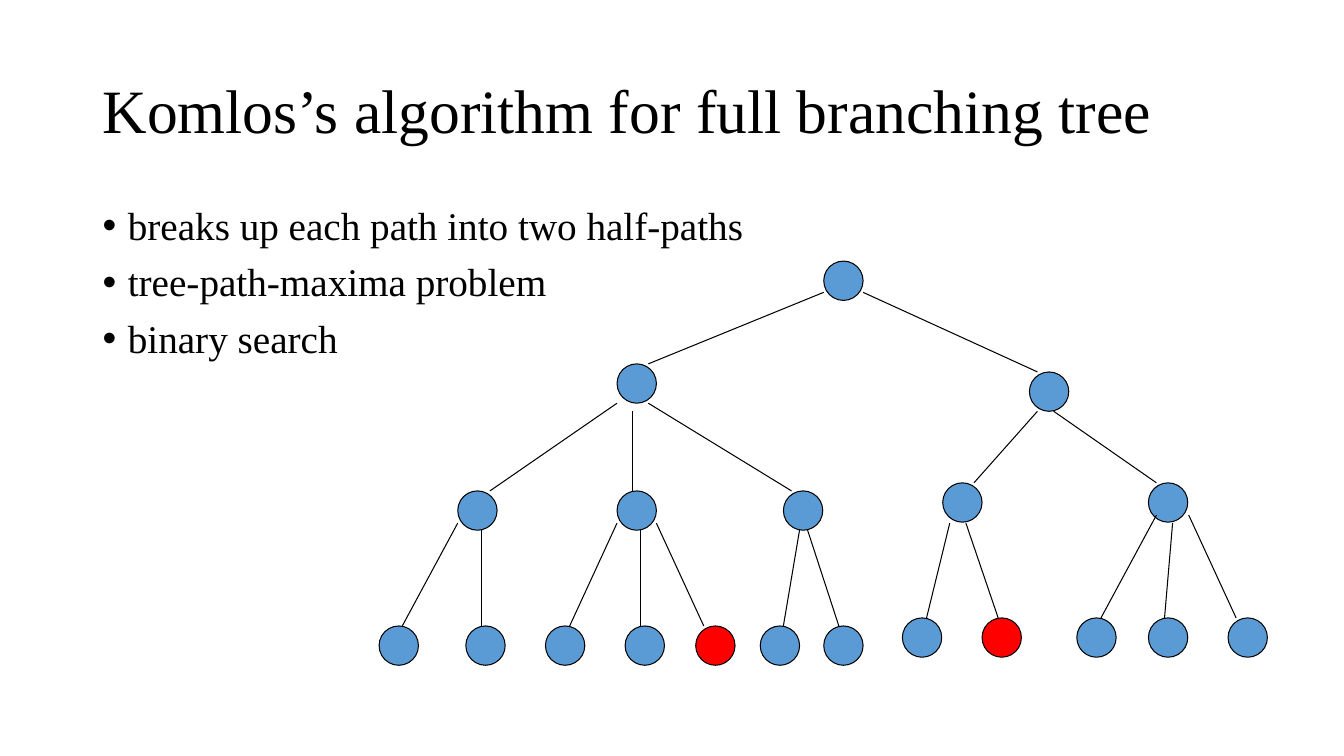
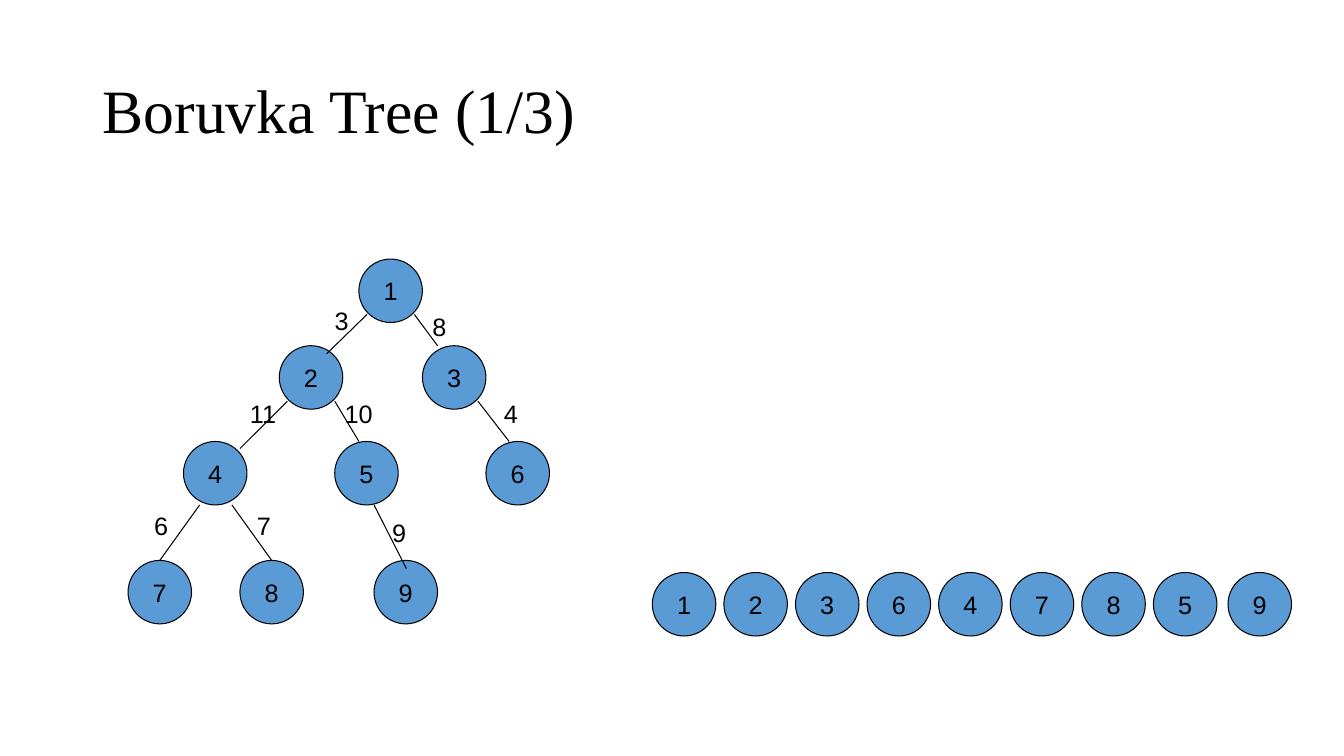
from lxml.etree import SubElement
from pptx import Presentation
from pptx.dml.color import RGBColor
from pptx.enum.shapes import MSO_CONNECTOR, MSO_SHAPE
from pptx.enum.text import MSO_ANCHOR, MSO_AUTO_SIZE, PP_ALIGN
from pptx.oxml.ns import qn
from pptx.util import Inches, Pt

BLACK = RGBColor(0x00, 0x00, 0x00)
BLUE = RGBColor(0x5B, 0x9B, 0xD5)
RED = RGBColor(0xFF, 0x00, 0x00)
SERIF = "Times New Roman"
SANS = "Arial"
LINE_WIDTH = Pt(0.75)
MARGIN_LEFT, CONTENT_WIDTH = 0.92, 11.5

# Slide 1: the branching tree, as rows of nodes (top, colour, left edges)
BRANCHING_TITLE = "Komlos’s algorithm for full branching tree"
BULLETS = [
    "breaks up each path into two half-paths",
    "tree-path-maxima problem",
    "binary search",
]
SMALL_NODE = 0.39
BRANCHING_ROWS = [
    (2.59, BLUE, [8.17]),
    (3.61, BLUE, [6.12]),
    (3.69, BLUE, [10.21]),
    (4.87, BLUE, [4.54, 6.12, 7.77]),
    (4.79, BLUE, [9.35, 11.39]),
    (6.21, BLUE, [3.76, 4.62, 5.41, 6.2, 7.54, 8.17]),
    (6.13, BLUE, [8.95, 10.68, 11.39, 12.18]),
    (6.21, RED, [6.9]),
    (6.13, RED, [9.74]),
]
BRANCHING_EDGES = [
    ((8.17, 2.9), (6.43, 3.61)),
    ((8.56, 2.9), (10.29, 3.69)),
    ((6.12, 4), (4.86, 4.87)),
    ((6.27, 4.08), (6.27, 4.87)),
    ((6.43, 4), (7.85, 4.87)),
    ((10.29, 4.08), (9.66, 4.79)),
    ((10.45, 4.08), (11.47, 4.79)),
    ((4.54, 5.19), (3.99, 6.21)),
    ((4.78, 5.26), (4.78, 6.21)),
    ((6.12, 5.19), (5.65, 6.21)),
    ((6.35, 5.26), (6.35, 6.21)),
    ((6.51, 5.19), (6.98, 6.21)),
    ((7.93, 5.26), (7.77, 6.21)),
    ((8.01, 5.26), (8.32, 6.21)),
    ((9.42, 5.19), (9.19, 6.13)),
    ((9.58, 5.19), (9.9, 6.13)),
    ((11.47, 5.11), (10.92, 6.13)),
    ((11.63, 5.19), (11.55, 6.13)),
    ((11.79, 5.11), (12.26, 6.13)),
]

# Slide 2: the numbered tree and its nodes in depth-first order
BORUVKA_TITLE = "Boruvka Tree (1/3)"
LARGE_NODE = 0.63
BORUVKA_ROWS = [
    (2.57, {"1": 3.56}),
    (3.43, {"2": 2.77, "3": 4.19}),
    (4.38, {"4": 1.82, "5": 3.32, "6": 4.82}),
    (5.56, {"7": 1.27, "8": 2.38, "9": 3.71}),
]
# start, end, child joined at its top (if any), weight, weight position
BORUVKA_EDGES = [
    ((3.64, 3.12), (3.24, 3.51), None, "3", (3.22, 2.98)),
    ((4.11, 3.12), (4.34, 3.43), None, "8", (4.19, 3.04)),
    ((2.85, 3.98), (2.38, 4.45), None, "11", (2.38, 3.9)),
    ((3.32, 3.98), (3.56, 4.38), None, "10", (3.32, 3.9)),
    ((4.74, 3.98), (5.05, 4.38), None, "4", (4.9, 3.9)),
    ((1.98, 5.01), (1.59, 5.56), "7", "6", (1.43, 5.01)),
    ((2.3, 5.01), (2.69, 5.56), "8", "7", (2.45, 5.01)),
    ((3.71, 5.01), (4.03, 5.64), None, "9", (3.79, 5.08)),
]
VISIT_ORDER = "12364785"
LAST_VISITED = "9"
VISIT_LEFT, VISIT_TOP, VISIT_STEP = 6.47, 5.68, 0.71
LAST_LEFT = 12.18


def add_span(para, text, font_name, size):
    span = para.add_run()
    span.text = text
    span.font.name = font_name
    span.font.size = Pt(size)
    span.font.color.rgb = BLACK


def add_text_box(page, left, top, width, height, wrap=True):
    box = page.shapes.add_textbox(
        Inches(left), Inches(top), Inches(width), Inches(height))
    box.text_frame.word_wrap = wrap
    return box


def add_page(deck, title):
    page = deck.slides.add_slide(deck.slide_layouts[6])
    frame = add_text_box(page, MARGIN_LEFT, 0.4, CONTENT_WIDTH, 1.45).text_frame
    frame.vertical_anchor = MSO_ANCHOR.MIDDLE
    para = frame.paragraphs[0]
    para.line_spacing = 0.9
    add_span(para, title, SERIF, 44)
    return page


def add_bullets(page, items):
    frame = add_text_box(page, MARGIN_LEFT, 2, CONTENT_WIDTH, 4.76).text_frame
    for index, item in enumerate(items):
        para = frame.add_paragraph() if index else frame.paragraphs[0]
        para.line_spacing = 0.9
        if index:
            para.space_before = Pt(10)
        properties = para._p.get_or_add_pPr()
        properties.set("marL", str(Inches(0.25)))
        properties.set("indent", str(Inches(-0.25)))
        SubElement(properties, qn("a:buFont"), typeface=SANS)
        SubElement(properties, qn("a:buChar"), char="•")
        add_span(para, item, SERIF, 28)


def add_node(page, left, top, size, fill=BLUE, label=None):
    node = page.shapes.add_shape(
        MSO_SHAPE.OVAL, Inches(left), Inches(top), Inches(size), Inches(size))
    node.shadow.inherit = False
    node.fill.solid()
    node.fill.fore_color.rgb = fill
    node.line.color.rgb = BLACK
    node.line.width = LINE_WIDTH
    if label:
        frame = node.text_frame
        frame.word_wrap = False
        frame.vertical_anchor = MSO_ANCHOR.MIDDLE
        para = frame.paragraphs[0]
        para.alignment = PP_ALIGN.CENTER
        add_span(para, label, SANS, 18)
    return node


def add_edge(page, start, end):
    points = [Inches(value) for value in (*start, *end)]
    edge = page.shapes.add_connector(MSO_CONNECTOR.STRAIGHT, *points)
    edge.line.color.rgb = BLACK
    edge.line.width = LINE_WIDTH
    SubElement(edge._element.spPr, qn("a:effectLst"))
    return edge


def add_weight(page, position, weight):
    width = 0.2 + 0.14 * len(weight)
    frame = add_text_box(page, *position, width, 0.4, wrap=False).text_frame
    frame.auto_size = MSO_AUTO_SIZE.SHAPE_TO_FIT_TEXT
    add_span(frame.paragraphs[0], weight, SANS, 18)


def build_branching_page(deck):
    page = add_page(deck, BRANCHING_TITLE)
    add_bullets(page, BULLETS)
    for top, fill, lefts in BRANCHING_ROWS:
        for left in lefts:
            add_node(page, left, top, SMALL_NODE, fill)
    for start, end in BRANCHING_EDGES:
        add_edge(page, start, end)


def build_boruvka_page(deck):
    page = add_page(deck, BORUVKA_TITLE)
    nodes = {}
    for top, row in BORUVKA_ROWS:
        for label, left in row.items():
            nodes[label] = add_node(page, left, top, LARGE_NODE, label=label)
    for start, end, child, weight, position in BORUVKA_EDGES:
        edge = add_edge(page, start, end)
        if child:
            edge.end_connect(nodes[child], 0)
        add_weight(page, position, weight)
    for index, label in enumerate(VISIT_ORDER):
        left = VISIT_LEFT + index * VISIT_STEP
        add_node(page, left, VISIT_TOP, LARGE_NODE, label=label)
    add_node(page, LAST_LEFT, VISIT_TOP, LARGE_NODE, label=LAST_VISITED)


def main():
    deck = Presentation()
    deck.slide_width = Inches(13.33)
    deck.slide_height = Inches(7.5)
    build_branching_page(deck)
    build_boruvka_page(deck)
    deck.save("out.pptx")


if __name__ == "__main__":
    main()
